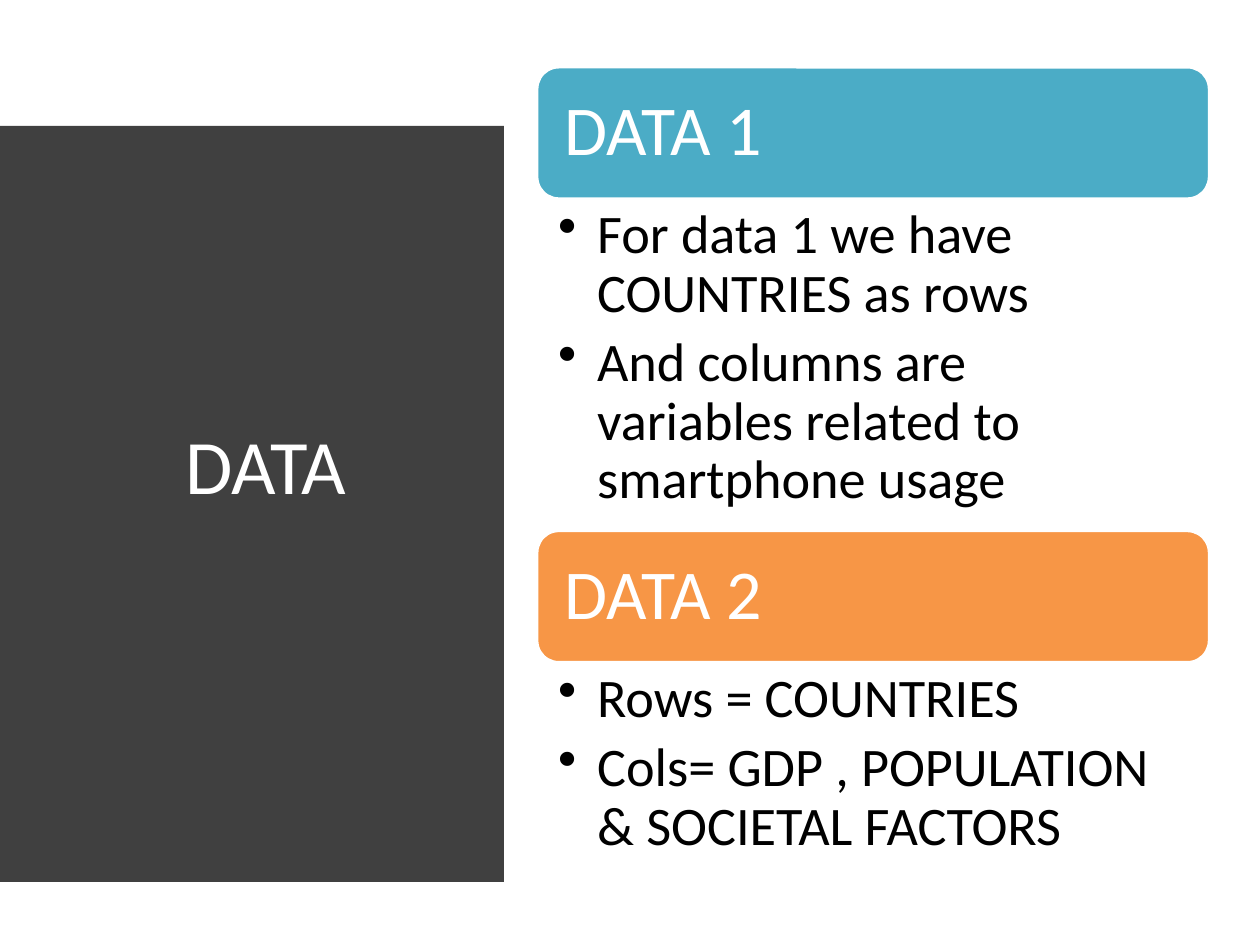
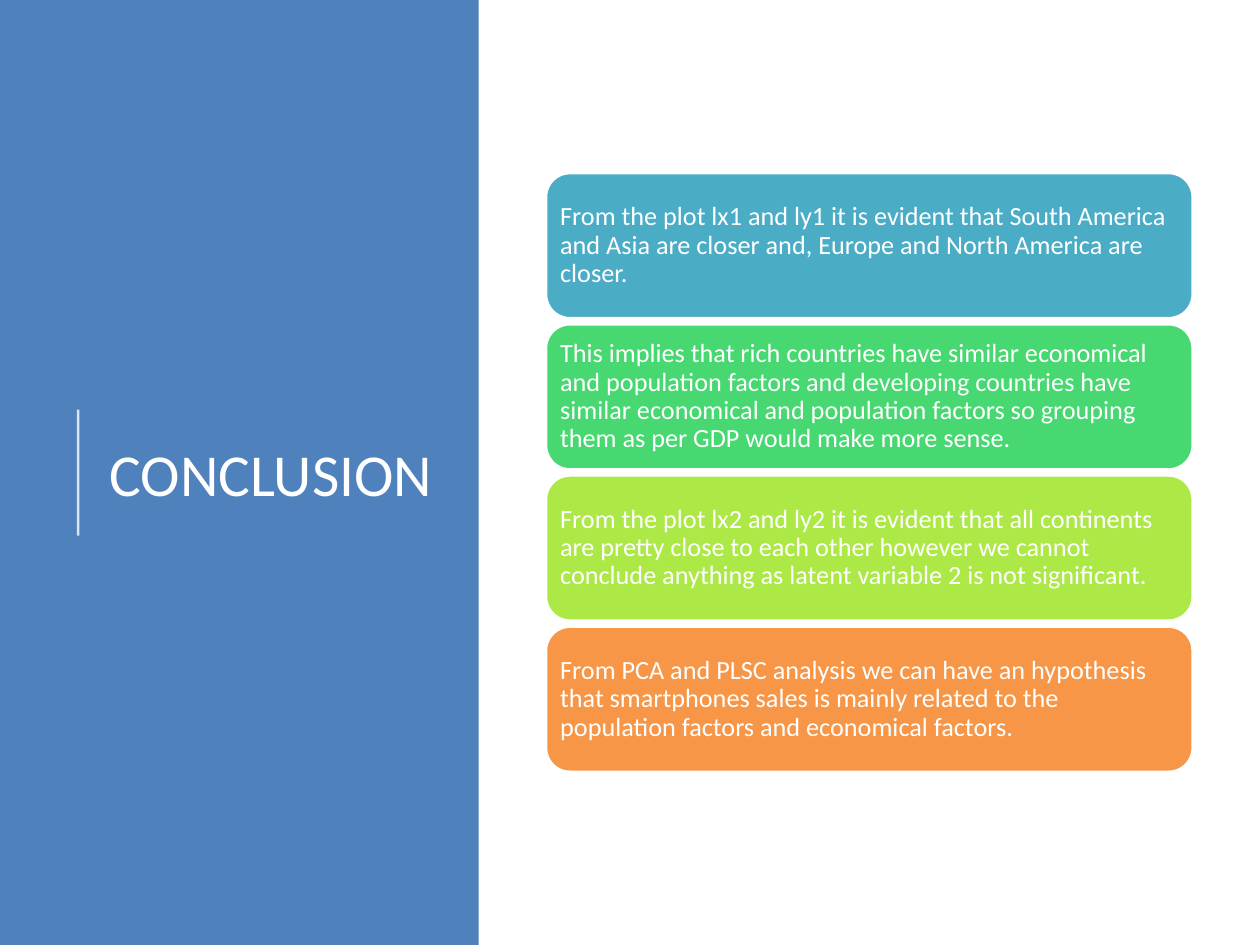
import pptx
import pptx.util
import pptx.dml.color
import pptx.enum.shapes
import pptx.enum.text
import pptx.oxml
import pptx.oxml.ns
import lxml.etree
from dataclasses import dataclass

Inches = pptx.util.Inches
Pt = pptx.util.Pt
RGB = pptx.dml.color.RGBColor.from_string
kinds = pptx.enum.shapes.MSO_SHAPE
align = pptx.enum.text.PP_ALIGN
anchor = pptx.enum.text.MSO_ANCHOR
qn = pptx.oxml.ns.qn


@dataclass
class Theme:
    font: str = "Calibri"
    white: str = "FFFFFF"
    black: str = "000000"
    dark: str = "404040"
    blue: str = "4F81BD"
    teal: str = "4BACC6"
    green: str = "47D872"
    lime: str = "ACE946"
    orange: str = "F79646"
    data: int = 44
    close: int = 34
    head: int = 40
    list: int = 31
    card: int = 15


theme = Theme()


def write(shape, lines, size, color, inset, place=align.LEFT, mid=True, after=0, bullet=False):
    """Fill a shape with paragraphs of one style; inset is left, top, right, bottom."""
    frame = shape.text_frame
    frame.word_wrap = True
    frame.vertical_anchor = anchor.MIDDLE if mid else anchor.TOP
    frame.margin_left, frame.margin_top, frame.margin_right, frame.margin_bottom = map(Inches, inset)
    for i, line in enumerate(lines):
        para = frame.add_paragraph() if i else frame.paragraphs[0]
        para.text = line
        para.alignment = place
        para.line_spacing = 0.9
        para.space_after = Pt(after)
        if bullet:
            props = para._p.get_or_add_pPr()
            props.set("marL", str(Inches(0.31)))
            props.set("indent", str(-Inches(0.31)))
            lxml.etree.SubElement(props, qn("a:buChar")).set("char", "•")
        para.font.name = theme.font
        para.font.size = Pt(size)
        para.font.color.rgb = RGB(color)


def block(slide, kind, box, fill, edge=None):
    """Add a flat filled shape, with a white edge if asked."""
    shape = slide.shapes.add_shape(kind, *map(Inches, box))
    shape.shadow.inherit = False
    shape.fill.solid()
    shape.fill.fore_color.rgb = RGB(fill)
    if edge:
        shape.line.color.rgb = RGB(edge)
        shape.line.width = Pt(2)
    else:
        shape.line.fill.background()
    return shape


deck = pptx.Presentation()
deck.slide_width = Inches(10)
deck.slide_height = Inches(7.5)
blank = deck.slide_layouts[6]

# Slide 1: dark panel with a curved right side
slide = deck.slides.add_slide(blank)
curve = [
    (3.81, 0.52), (3.84, 0.74), (3.87, 1.04), (3.9, 1.34), (3.92, 1.64),
    (3.94, 1.94), (3.96, 2.24), (3.97, 2.53), (3.98, 2.82), (3.99, 3.25),
    (3.99, 4.07), (3.98, 4.46), (3.97, 4.71), (3.96, 4.95), (3.94, 5.4),
    (3.91, 5.81), (3.88, 6.17), (3.85, 6.61), (3.81, 6.96),
]
pen = slide.shapes.build_freeform(0.4, 0.52, scale=Inches(1))
pen.add_line_segments(curve + [(0.4, 6.96)], close=True)
panel = pen.convert_to_shape()
panel.shadow.inherit = False
panel.fill.solid()
panel.fill.fore_color.rgb = RGB(theme.dark)
panel.line.fill.background()

title = slide.shapes.add_textbox(*map(Inches, (0.71, 1.11, 2.8, 5.24)))
write(title, ["DATA"], theme.data, theme.white, (0, 0, 0, 0), align.CENTER)

# Slide 1: headed lists
parts = [
    ("DATA 1", theme.teal, 0.53, 2.63, [
        "For data 1 we have COUNTRIES as rows",
        "And columns are variables related to smartphone usage"]),
    ("DATA 2", theme.orange, 4.21, 1.68, [
        "Rows = COUNTRIES",
        "Cols= GDP , POPULATION & SOCIETAL FACTORS"]),
]
left, wide, tall = 4.26, 5.34, 1.05
for name, color, top, depth, items in parts:
    head = block(slide, kinds.ROUNDED_RECTANGLE, (left, top, wide, tall), color, theme.white)
    write(head, [name], theme.head, theme.white, [0.17] * 4)
    body = slide.shapes.add_textbox(*map(Inches, (left, top + tall, wide, depth)))
    write(body, items, theme.list, theme.black, (0.17, 0.06, 0.31, 0.06),
          mid=False, after=6.2, bullet=True)

# Slide 2: blue band, title and upright rule
slide = deck.slides.add_slide(blank)
block(slide, kinds.RECTANGLE, (0, 0, 3.8, 7.5), theme.blue)
title = slide.shapes.add_textbox(*map(Inches, (0.77, 0.78, 2.76, 6.02)))
write(title, ["CONCLUSION"], theme.close, theme.white, (0, 0, 0, 0), align.CENTER)

rule = slide.shapes.add_connector(
    pptx.enum.shapes.MSO_CONNECTOR.STRAIGHT, *map(Inches, (0.62, 4.25, 0.62, 3.25)))
rule.line.color.rgb = RGB(theme.white)
rule.line.width = Pt(1.5)
tint = rule._element.spPr.find(".//" + qn("a:srgbClr"))
lxml.etree.SubElement(tint, qn("a:alpha")).set("val", "80000")
lxml.etree.SubElement(rule._element.spPr, qn("a:effectLst"))

# Slide 2: stack of cards
cards = [
    (theme.teal, "From the plot lx1 and ly1 it is evident that South America and Asia "
                 "are closer and, Europe and North America are closer."),
    (theme.green, "This implies that rich countries have similar economical and population "
                  "factors and developing countries have similar economical and population "
                  "factors so grouping them as per GDP would make more sense."),
    (theme.lime, "From the plot lx2 and ly2 it is evident that all continents are pretty "
                 "close to each other however we cannot conclude anything as latent "
                 "variable 2 is not significant."),
    (theme.orange, "From PCA and PLSC analysis we can have an hypothesis that smartphones "
                   "sales is mainly related to the population factors and economical factors."),
]
for i, (color, words) in enumerate(cards):
    card = block(slide, kinds.ROUNDED_RECTANGLE, (4.33, 1.37 + 1.2 * i, 5.14, 1.16),
                 color, theme.white)
    write(card, [words], theme.card, theme.white, [0.06] * 4)

deck.save("out.pptx")
